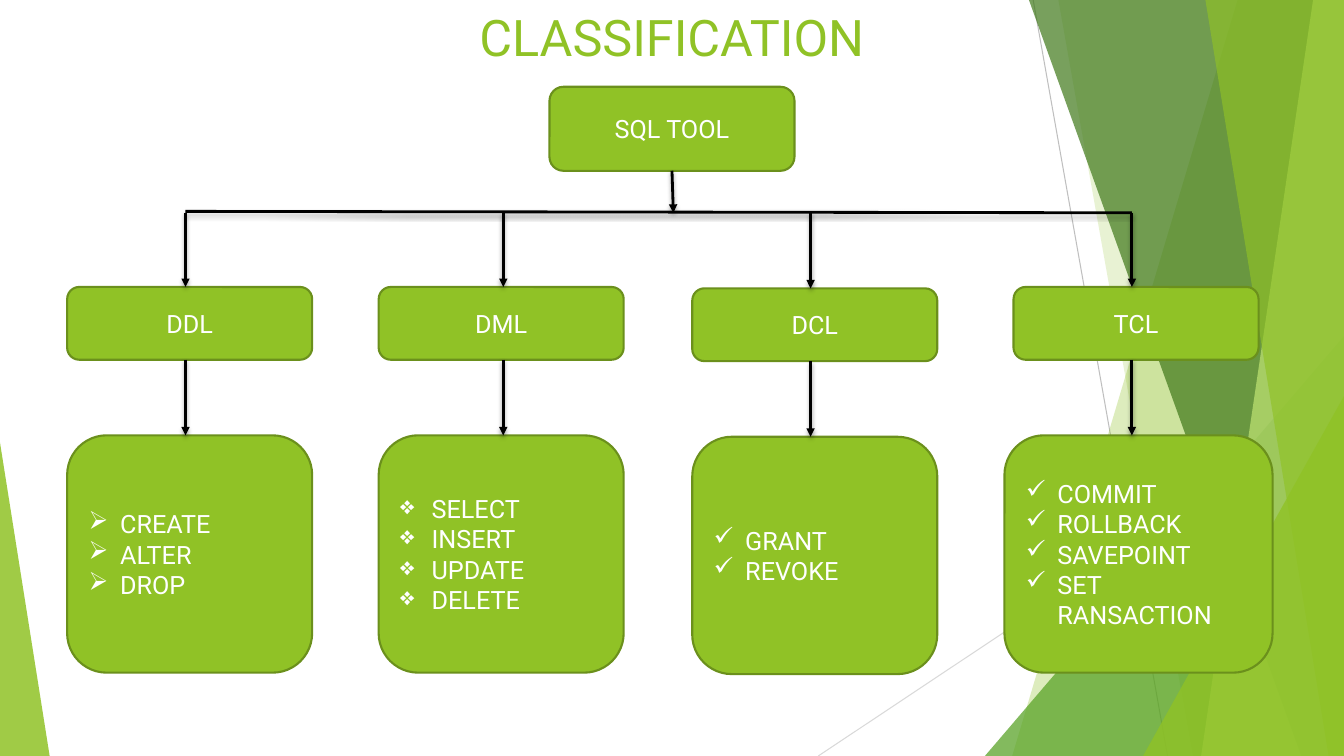
from lxml import etree
from pptx import Presentation
from pptx.dml.color import RGBColor
from pptx.enum.shapes import MSO_CONNECTOR, MSO_SHAPE
from pptx.enum.text import MSO_ANCHOR, PP_ALIGN
from pptx.oxml.ns import qn
from pptx.util import Pt

STRAIGHT = MSO_CONNECTOR.STRAIGHT
ROUNDED = MSO_SHAPE.ROUNDED_RECTANGLE
TRIANGLE = MSO_SHAPE.ISOSCELES_TRIANGLE
MIDDLE = MSO_ANCHOR.MIDDLE
CENTER, LEFT = PP_ALIGN.CENTER, PP_ALIGN.LEFT

FONT = "Roboto"
W, H = 960, 540
COLORS = {
    "green": "90C226",
    "edge": "6B901C",
    "mid": "54A021",
    "dark": "3F7819",
    "pale": "C0E474",
    "gray": "BFBFBF",
    "light_gray": "D9D9D9",
    "black": "000000",
    "white": "FFFFFF",
}
RGB = {name: RGBColor.from_string(value) for name, value in COLORS.items()}

prs = Presentation()
prs.slide_width, prs.slide_height = Pt(W), Pt(H)
slide = prs.slides.add_slide(prs.slide_layouts[6])
shapes = slide.shapes


def write(sp, lines, size, color, align=CENTER, bullet=None):
    """Fill a shape with one paragraph per line, bulleted if a bullet is given."""
    tf = sp.text_frame
    tf.word_wrap = True
    tf.vertical_anchor = MIDDLE
    for i, line in enumerate(lines):
        p = tf.add_paragraph() if i else tf.paragraphs[0]
        p.alignment = align
        if bullet:
            pPr = p._p.get_or_add_pPr()
            pPr.set("marL", str(Pt(22.5)))
            pPr.set("indent", str(-Pt(22.5)))
            etree.SubElement(pPr, qn("a:buChar"), char=bullet)
        r = p.add_run()
        r.text = line
        r.font.name, r.font.size = FONT, Pt(size)
        r.font.color.rgb = RGB[color]


def add_line(x1, y1, x2, y2, color, width, arrow=False, shadow=False):
    cxn = shapes.add_connector(STRAIGHT, Pt(x1), Pt(y1), Pt(x2), Pt(y2))
    cxn.line.color.rgb = RGB[color]
    cxn.line.width = Pt(width)
    if arrow:
        etree.SubElement(cxn.line._get_or_add_ln(), qn("a:tailEnd"), type="triangle")
    effects = etree.SubElement(cxn._element.spPr, qn("a:effectLst"))
    if shadow:
        outer = etree.SubElement(effects, qn("a:outerShdw"), blurRad=str(Pt(3)),
                                 dist=str(Pt(2)), dir="5400000", rotWithShape="0")
        clr = etree.SubElement(outer, qn("a:srgbClr"), val=COLORS["black"])
        etree.SubElement(clr, qn("a:alpha"), val="35000")
    return cxn


# Background facets, back to front
add_line(738, 0, 834, H, "gray", 0.75)
add_line(W, 290, 584.5, H, "light_gray", 0.75)

# Bands reach the right edge: (top x, bottom x, colour, opacity %)
# Triangles: (left, top, width, apex, colour, opacity %)
facets = [
    (884, 723, "green", 30),
    (756, 852, "green", 20),
    (703.5, 240, 256.5, 1, "mid", 72),
    (735, 929.5, "dark", 70),
    (938, 858, "pale", 70),
    (861, 949, "green", 65),
    (816.5, 283, 143.5, 1, "green", 80),
    (0, 316, 35.5, 0, "green", 85),
]
for *geometry, color, opacity in facets:
    if len(geometry) == 2:
        top_x, bottom_x = geometry
        outline = shapes.build_freeform(Pt(top_x), 0, scale=1.0)
        outline.add_line_segments([(Pt(W), 0), (Pt(W), Pt(H)), (Pt(bottom_x), Pt(H))])
        sp = outline.convert_to_shape()
    else:
        x, y, width, apex = geometry
        sp = shapes.add_shape(TRIANGLE, Pt(x), Pt(y), Pt(width), Pt(H - y))
        sp.adjustments[0] = apex
    sp.shadow.inherit = False
    sp.line.fill.background()
    sp.fill.solid()
    sp.fill.fore_color.rgb = RGB[color]
    clr = sp._element.spPr.find(qn("a:solidFill")).find(qn("a:srgbClr"))
    etree.SubElement(clr, qn("a:alpha"), val=str(opacity * 1000))

title = shapes.add_textbox(0, 0, Pt(W), Pt(52))
write(title, ["CLASSIFICATION"], 36, "green")

# Boxes of the tree: (left, top, width, height, lines, bullet)
BOX_W, HEAD_Y, HEAD_H, LIST_Y, LIST_H = 175, 205, 52, 311, 169.5
BUS_Y = 152
# (head left, list left, list width, arrow x, drop, head, bullet, commands)
branches = [
    (48, 48, BOX_W, 132.5, 0, "DDL", "➢", ["CREATE", "ALTER", "DROP"]),
    (270.5, 270.5, BOX_W, 359.5, 0, "DML", "❖",
     ["SELECT", "INSERT", "UPDATE", "DELETE"]),
    (494.5, 494.5, BOX_W, 579, 1, "DCL", "✓", ["GRANT", "REVOKE"]),
    (724, 717.5, 191.5, 808.5, 0, "TCL", "✓",
     ["COMMIT", "ROLLBACK", "SAVEPOINT", "SET RANSACTION"]),
]
boxes = [(392.5, 62, BOX_W, 60, ["SQL TOOL"], None)]
for head_x, list_x, list_w, _, drop, head, bullet, commands in branches:
    boxes.append((head_x, HEAD_Y + drop, BOX_W, HEAD_H, [head], None))
    boxes.append((list_x, LIST_Y + drop, list_w, LIST_H, commands, bullet))

drawn = []
for x, y, width, height, lines, bullet in boxes:
    sp = shapes.add_shape(ROUNDED, Pt(x), Pt(y), Pt(width), Pt(height))
    sp.shadow.inherit = False
    sp.fill.solid()
    sp.fill.fore_color.rgb = RGB["green"]
    sp.line.color.rgb = RGB["edge"]
    sp.line.width = Pt(1.5)
    write(sp, lines, 18, "white", LEFT if bullet else CENTER, bullet)
    drawn.append(sp)

# Bus, stem and branch arrows
add_line(branches[0][3], BUS_Y - 1, branches[-1][3], BUS_Y, "black", 2, shadow=True)
stem = add_line(480, 122, 481, BUS_Y, "black", 2, arrow=True, shadow=True)
stem.begin_connect(drawn[0], 2)
for _, _, _, x, drop, *_ in branches:
    for start, end in [(BUS_Y, HEAD_Y + drop),
                       (HEAD_Y + HEAD_H + drop, LIST_Y + drop)]:
        add_line(x, start, x, end, "black", 2, arrow=True, shadow=True)

prs.save("out.pptx")
